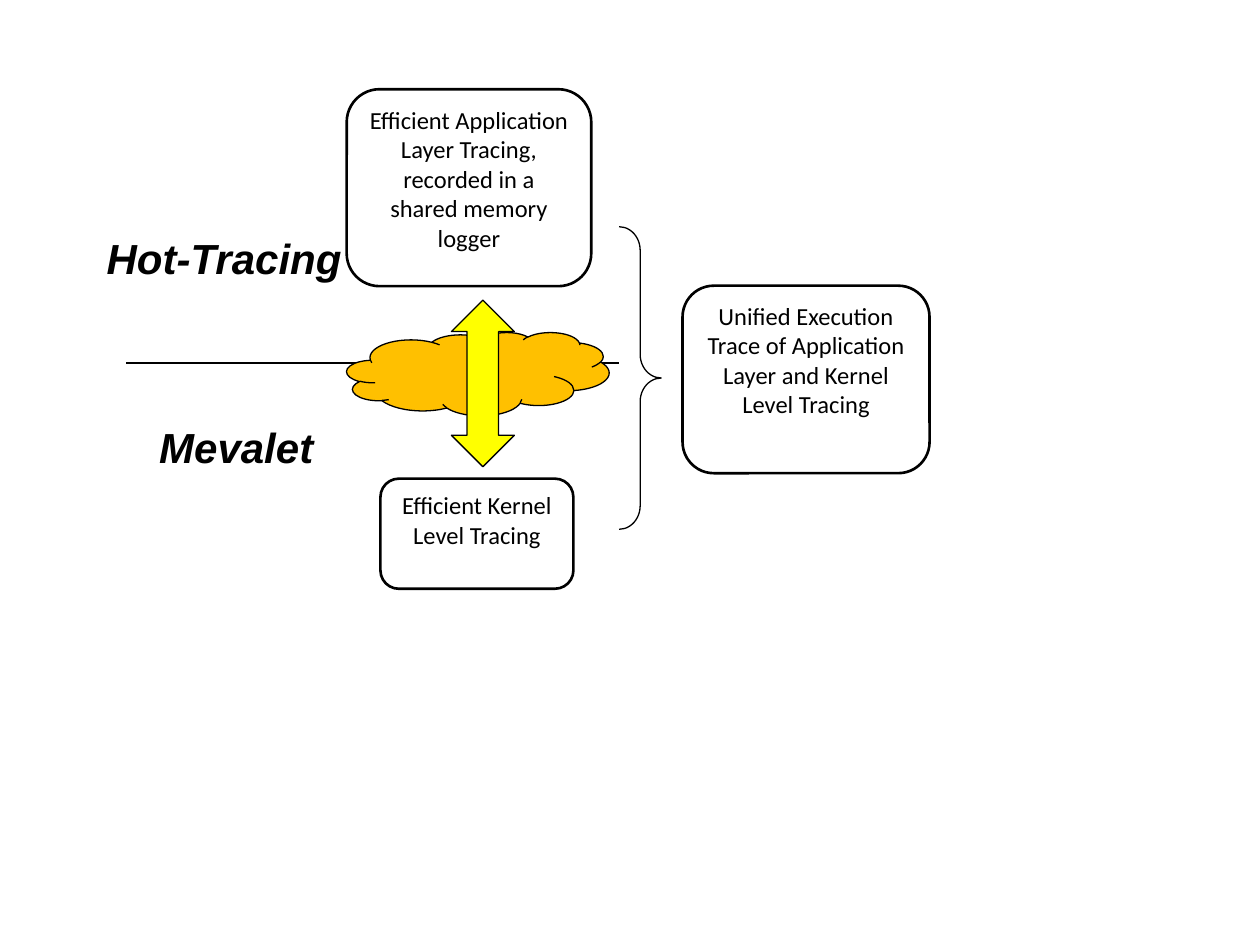
from dataclasses import dataclass

from lxml.etree import SubElement
from pptx import Presentation
from pptx.dml.color import RGBColor
from pptx.enum.shapes import MSO_CONNECTOR, MSO_SHAPE
from pptx.enum.text import MSO_ANCHOR, MSO_AUTO_SIZE, PP_ALIGN
from pptx.oxml.ns import qn
from pptx.util import Cm, Pt


@dataclass(frozen=True)
class Theme:
    """Colours, fonts, type sizes and line widths of the slide."""

    ink: RGBColor = RGBColor(0x00, 0x00, 0x00)
    cloud: RGBColor = RGBColor(0xFF, 0xC0, 0x00)
    arrow: RGBColor = RGBColor(0xFF, 0xFF, 0x00)
    box_font: str = "Calibri"
    label_font: str = "Arial"
    box_size: Pt = Pt(14)
    label_size: Pt = Pt(24)
    thin: Pt = Pt(0.75)
    thick: Pt = Pt(1.5)


THEME = Theme()


def add_outline(slide, kind, bounds, width=THEME.thin, fill=None):
    """Add a preset shape with a black outline and an optional fill."""
    outline = slide.shapes.add_shape(kind, *map(Cm, bounds))
    outline.shadow.inherit = False
    outline.line.color.rgb = THEME.ink
    outline.line.width = width
    if fill is None:
        outline.fill.background()
    else:
        outline.fill.solid()
        outline.fill.fore_color.rgb = fill
    return outline


def add_text_run(paragraph, text, font, size):
    """Append one black run to a paragraph and return it."""
    run = paragraph.add_run()
    run.text = text
    run.font.name = font
    run.font.size = size
    run.font.color.rgb = THEME.ink
    return run


def add_tracing_box(slide, bounds, lines):
    """Add a rounded box with centred paragraphs starting at its top."""
    box = add_outline(slide, MSO_SHAPE.ROUNDED_RECTANGLE, bounds, THEME.thick)
    frame = box.text_frame
    frame.word_wrap = True
    frame.vertical_anchor = MSO_ANCHOR.TOP
    for index, line in enumerate(lines):
        paragraph = frame.add_paragraph() if index else frame.paragraphs[0]
        paragraph.alignment = PP_ALIGN.CENTER
        add_text_run(paragraph, line, THEME.box_font, THEME.box_size)


def add_layer_label(slide, bounds, text, wrap):
    """Add a bold italic name for one of the two layers."""
    frame = slide.shapes.add_textbox(*map(Cm, bounds)).text_frame
    frame.word_wrap = wrap
    frame.auto_size = MSO_AUTO_SIZE.SHAPE_TO_FIT_TEXT
    name = add_text_run(frame.paragraphs[0], text, THEME.label_font, THEME.label_size)
    name.font.bold = True
    name.font.italic = True


def add_layer_divider(slide, left, right, y):
    """Add the horizontal line between the two layers."""
    divider = slide.shapes.add_connector(
        MSO_CONNECTOR.STRAIGHT, Cm(left), Cm(y), Cm(right), Cm(y)
    )
    divider.line.color.rgb = THEME.ink
    divider.line.width = THEME.thin
    SubElement(divider._element.spPr, qn("a:effectLst"))


def add_joining_brace(slide, bounds):
    """Add the brace that points from both layers to the unified trace."""
    brace = add_outline(slide, MSO_SHAPE.LEFT_BRACE, bounds)
    brace.rotation = 180
    brace.adjustments[0] = 0.56


def main():
    """Build the tracing overview slide and save it."""
    deck = Presentation()
    deck.slide_width, deck.slide_height = Cm(25.4), Cm(19.05)
    slide = deck.slides.add_slide(deck.slide_layouts[6])

    add_layer_divider(slide, 2.54, 12.47, 7.32)
    add_tracing_box(
        slide,
        (6.99, 1.8, 4.93, 3.97),
        ["Efficient Application Layer Tracing, recorded in a shared memory logger"],
    )
    add_tracing_box(
        slide, (7.67, 9.65, 3.89, 2.22), ["Efficient Kernel", "Level Tracing"]
    )
    add_outline(slide, MSO_SHAPE.CLOUD, (6.99, 6.7, 5.29, 1.68), fill=THEME.cloud)
    add_outline(
        slide, MSO_SHAPE.UP_DOWN_ARROW, (9.1, 6.05, 1.27, 3.36), fill=THEME.arrow
    )
    add_layer_label(slide, (1.9, 4.57, 5.5, 1.28), "Hot-Tracing", wrap=False)
    add_layer_label(slide, (2.96, 8.38, 4.66, 1.28), "Mevalet", wrap=True)
    add_joining_brace(slide, (12.48, 4.57, 0.85, 6.1))
    add_tracing_box(
        slide,
        (13.76, 5.76, 4.98, 3.78),
        ["Unified Execution Trace of Application Layer and Kernel Level Tracing"],
    )
    deck.save("out.pptx")


if __name__ == "__main__":
    main()
